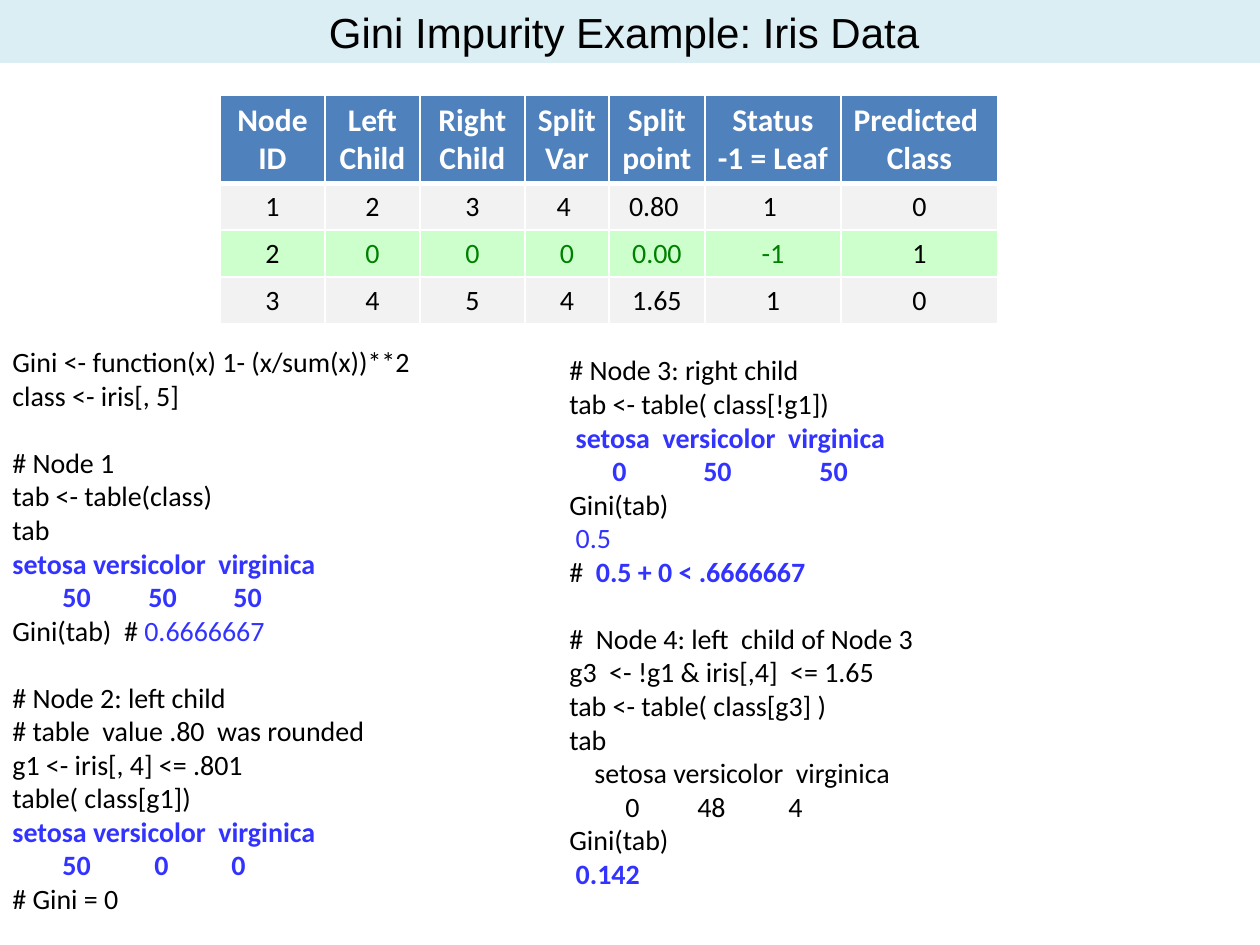
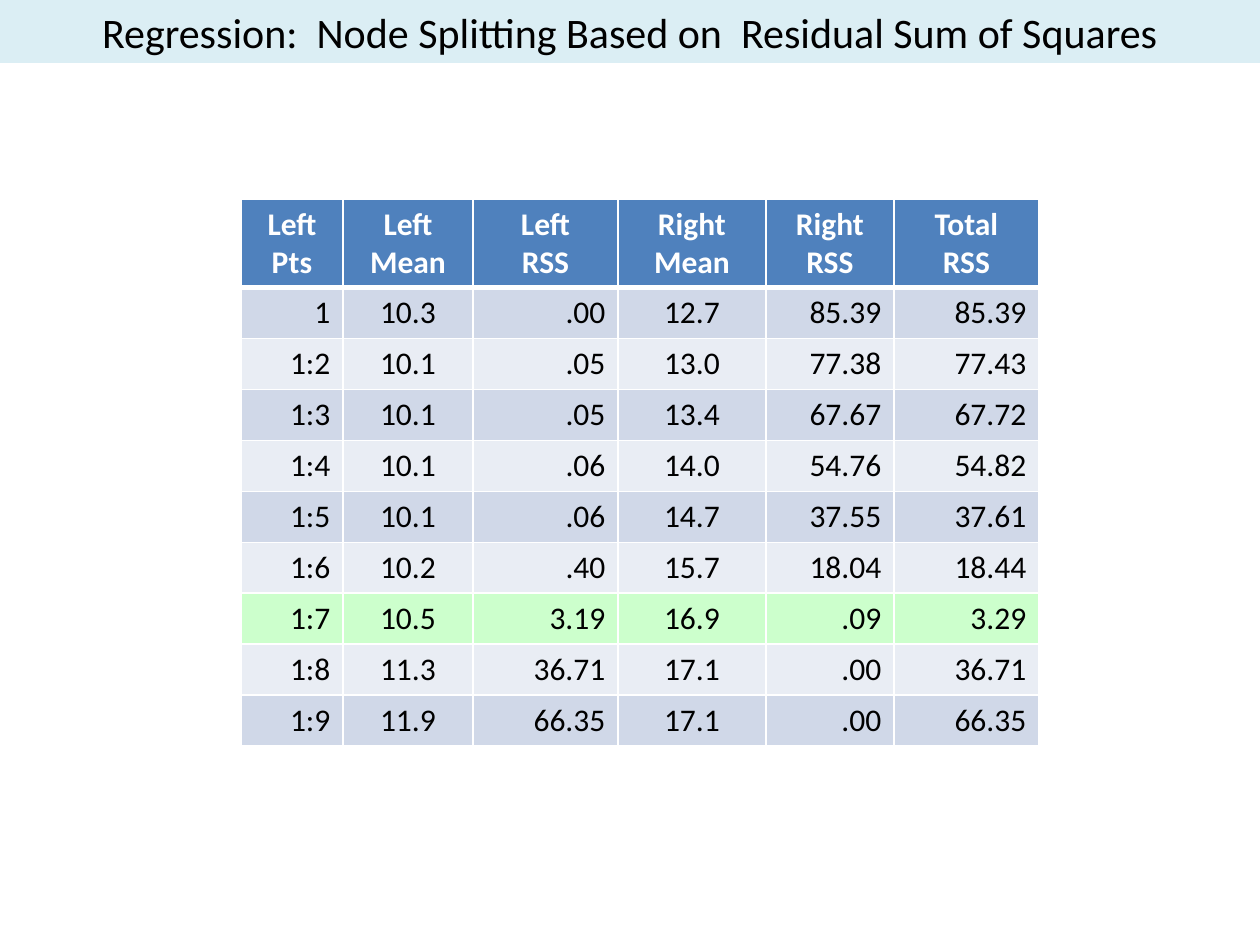
from dataclasses import dataclass

from lxml import etree
from pptx import Presentation
from pptx.dml.color import RGBColor
from pptx.enum.shapes import MSO_SHAPE
from pptx.enum.text import PP_ALIGN
from pptx.oxml.ns import qn
from pptx.util import Emu, Pt

LEFT, CENTER, RIGHT = PP_ALIGN.LEFT, PP_ALIGN.CENTER, PP_ALIGN.RIGHT
RECT = MSO_SHAPE.RECTANGLE

PX = 914400 / 126
WIDTH, HEIGHT = 1260, 945
BODY_FONT = "Calibri"
CODE_SIZE = 16
LINE_GAP = 19  # one empty line of code, in points

COLORS = {
    "black": "000000",
    "white": "FFFFFF",
    "band": "DBEEF4",
    "header": "4F81BD",
    "gray": "F2F2F2",
    "dark_row": "D0D8E8",
    "light_row": "E9EDF4",
    "best_row": "CCFFCC",
    "green": "008000",
    "blue": "3333FF",
}


def px(n):
    return Emu(round(n * PX))


def rgb(name):
    return RGBColor.from_string(COLORS[name])


@dataclass
class Line:
    """One line of code or output; the tail is set apart in blue."""
    text: str
    color: str = "black"
    bold: bool = False
    tail: str = ""
    tail_bold: bool = False
    gap: bool = False
    tabs: tuple = ()
    indent: int = 0


def result(text, **options):
    return Line(text, color="blue", bold=True, **options)


class Deck:
    def __init__(self):
        self.prs = Presentation()
        self.prs.slide_width, self.prs.slide_height = px(WIDTH), px(HEIGHT)
        self.s = None

    def font(self, target, size, color="black", bold=False, name=BODY_FONT):
        f = target.font
        f.name, f.size, f.bold = name, Pt(size), bold
        f.color.rgb = rgb(color)

    def slide(self, title, font=BODY_FONT):
        """Start a blank slide with its title band."""
        self.s = self.prs.slides.add_slide(self.prs.slide_layouts[6])
        band = self.s.shapes.add_shape(RECT, 0, 0, px(WIDTH), px(63))
        band.shadow.inherit = False
        band.fill.solid()
        band.fill.fore_color.rgb = rgb("band")
        band.line.fill.background()
        p = band.text_frame.paragraphs[0]
        p.text, p.alignment = title, CENTER
        self.font(p, 24, name=font)

    def code(self, x, y, w, h, lines, top=6):
        """Text box of code lines, with counts placed on tab stops."""
        box = self.s.shapes.add_textbox(px(x), px(y), px(w), px(h))
        tf = box.text_frame
        tf.word_wrap = True
        tf.margin_top = px(top)
        for i, line in enumerate(lines):
            p = tf.add_paragraph() if i else tf.paragraphs[0]
            p.alignment = LEFT
            self.font(p, CODE_SIZE, line.color, line.bold)
            if line.gap:
                p.space_before = Pt(LINE_GAP)
            self.tab_stops(p, line)
            p.add_run().text = line.text
            if line.tail:
                r = p.add_run()
                r.text = line.tail
                self.font(r, CODE_SIZE, "blue", line.tail_bold)

    def tab_stops(self, p, line):
        pPr = p._p.get_or_add_pPr()
        if line.indent:
            pPr.set("marL", str(px(line.indent)))
        if line.tabs:
            tabs = etree.Element(qn("a:tabLst"))
            for stop in line.tabs:
                etree.SubElement(tabs, qn("a:tab"), pos=str(px(stop)), algn="l")
            pPr.find(qn("a:defRPr")).addprevious(tabs)

    def table(self, x, y, widths, header_h, row_h, header, rows, size, fills,
              aligns, green=()):
        """Table with a header row; green lists (row, column) cells."""
        heights = [header_h] + [row_h] * len(rows)
        table = self.s.shapes.add_table(
            len(heights), len(widths), px(x), px(y),
            px(sum(widths)), px(sum(heights))).table
        table.horz_banding = False
        for column, w in zip(table.columns, widths):
            column.width = px(w)
        for row, h in zip(table.rows, heights):
            row.height = px(h)
        for i, values in enumerate([header] + rows):
            for j, value in enumerate(values):
                cell = table.cell(i, j)
                cell.text = value
                cell.fill.solid()
                cell.fill.fore_color.rgb = rgb(fills[i - 1] if i else "header")
                self.borders(cell, top=3 if i == 1 else 1, bottom=1 if i else 3)
                for p in cell.text_frame.paragraphs:
                    p.alignment = aligns[j] if i else CENTER
                    if i:
                        color = "green" if (i, j) in green else "black"
                        self.font(p, size, color)
                    else:
                        self.font(p, 18, "white", True)

    def borders(self, cell, top, bottom):
        tcPr = cell._tc.get_or_add_tcPr()
        sides = {"a:lnL": 1, "a:lnR": 1, "a:lnT": top, "a:lnB": bottom}
        for i, (tag, width) in enumerate(sides.items()):
            ln = etree.Element(qn(tag), w=str(Pt(width)))
            fill = etree.SubElement(ln, qn("a:solidFill"))
            etree.SubElement(fill, qn("a:srgbClr"), val=COLORS["white"])
            tcPr.insert(i, ln)


def gini_slide(deck):
    deck.slide("Gini Impurity Example: Iris Data ", font="Arial")

    # Nodes 1 and 2
    species = "setosa versicolor  virginica"
    deck.code(0, 305, 536, 624, [
        Line("Gini <- function(x) 1- (x/sum(x))**2"),
        Line("class <- iris[, 5]"),
        Line("# Node 1", gap=True),
        Line("tab <- table(class)"),
        Line("tab"),
        result(species),
        result("\t50\t50\t50", tabs=(50, 136, 221)),
        Line("Gini(tab)  # ", tail="0.6666667"),
        Line("# Node 2: left child", gap=True),
        Line("# table  value .80  was rounded"),
        Line("g1 <- iris[, 4] <= .801"),
        Line("table( class[g1])"),
        result(species),
        result("\t50\t0\t0", tabs=(50, 142, 219)),
        Line("# Gini = 0"),
    ], top=40)

    # Tree table
    deck.table(
        220, 95, [105, 95, 105, 84, 96, 136, 157], 86, 47,
        ["Node\nID", "Left\nChild", "Right\nChild", "Split\nVar",
         "Split\npoint", "Status\n-1 = Leaf", "Predicted \nClass"],
        [["1", "2", "3", "4 ", "0.80 ", "1 ", "0"],
         ["2", "0", "0", "0", "0.00", "-1", "1"],
         ["3", "4", "5", "4", "1.65", "1", "0"]],
        size=16, fills=["gray", "best_row", "gray"], aligns=[CENTER] * 7,
        green=[(2, j) for j in range(1, 6)])

    # Nodes 3 and 4
    deck.code(557, 347, 546, 598, [
        Line("# Node 3: right child"),
        Line("tab <- table( class[!g1])"),
        result(" setosa  versicolor  virginica"),
        result("\t0\t50\t50", tabs=(43, 134, 250)),
        Line("Gini(tab)"),
        Line(" 0.5", color="blue"),
        Line("#  ", tail="0.5 + 0 < .6666667", tail_bold=True),
        Line("#  Node 4: left  child of Node 3", gap=True),
        Line("g3  <- !g1 & iris[,4]  <= 1.65"),
        Line("tab <- table( class[g3] )"),
        Line("tab"),
        Line(species, indent=25),
        Line("\t0\t48\t4", tabs=(56, 128, 219)),
        Line("Gini(tab)"),
        result(" 0.142"),
    ])


def regression_slide(deck):
    deck.slide("Regression:  Node Splitting Based on  Residual Sum of Squares")

    # Residual sums for each split; the smallest total is highlighted
    rows = [
        ["1", "10.3", ".00", "12.7", "85.39", "85.39"],
        ["1:2", "10.1", ".05", "13.0", "77.38", "77.43"],
        ["1:3", "10.1", ".05", "13.4", "67.67", "67.72"],
        ["1:4", "10.1", ".06", "14.0", "54.76", "54.82"],
        ["1:5", "10.1", ".06", "14.7", "37.55", "37.61"],
        ["1:6", "10.2", ".40", "15.7", "18.04", "18.44"],
        ["1:7", "10.5", "3.19", "16.9", ".09", "3.29"],
        ["1:8", "11.3", "36.71", "17.1", ".00", "36.71"],
        ["1:9", "11.9", "66.35", "17.1", ".00", "66.35"],
    ]
    best = min(rows, key=lambda row: float(row[-1]))
    fills = ["best_row" if row is best else ("dark_row", "light_row")[i % 2]
             for i, row in enumerate(rows)]
    deck.table(
        241, 199, [102, 130, 145, 148, 128, 145], 88, 51,
        ["Left\nPts", "Left\nMean", "Left\nRSS", "Right\nMean",
         "Right\nRSS", "Total\nRSS"],
        rows, size=18, fills=fills,
        aligns=[RIGHT, CENTER, RIGHT, CENTER, RIGHT, RIGHT])


def main():
    deck = Deck()
    gini_slide(deck)
    regression_slide(deck)
    deck.prs.save("out.pptx")


if __name__ == "__main__":
    main()
